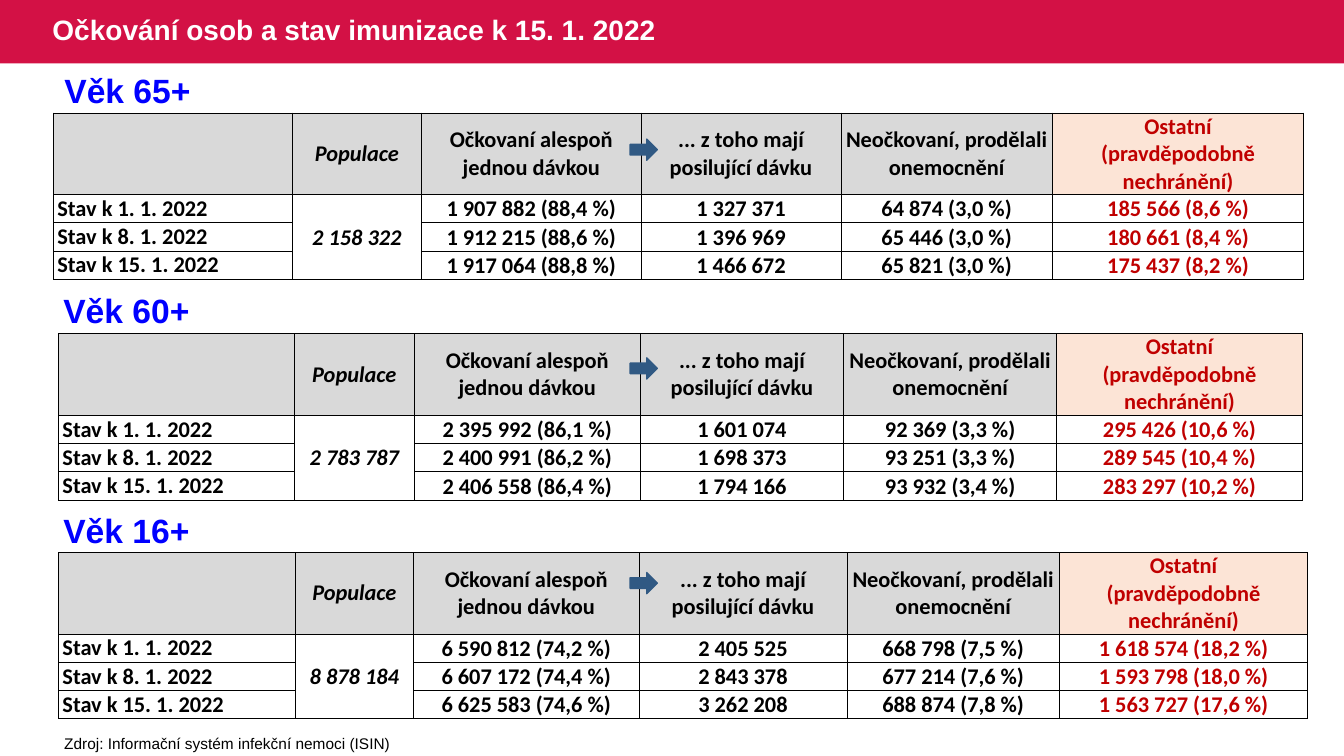
from lxml import etree
from pptx import Presentation
from pptx import util as u
from pptx.dml.color import RGBColor
from pptx.enum import shapes, text
from pptx.oxml import ns

COLORS = {"bar": "D31145", "white": "FFFFFF", "black": "000000", "age": "0000FF",
          "header": "D9D9D9", "risk": "C00000", "risk_header": "FCE4D6", "arrow": "305983"}
HEADERS = ["", "Populace", "Očkovaní alespoň jednou dávkou", "... z toho mají posilující dávku",
           "Neočkovaní, prodělali onemocnění", "Ostatní\n(pravděpodobně nechránění)"]
DATES = ["Stav k 1. 1. 2022", "Stav k 8. 1. 2022", "Stav k 15. 1. 2022"]
POPULATION, RISK = 1, 5
ROW_HEIGHTS = [0.81, 0.28, 0.28, 0.28]
AGE_GROUPS = [
    {"age": "Věk 65+", "age_at": (0.54, 0.64), "table_at": (0.53, 1.12), "arrow_top": 1.38,
     "widths": [2.37, 1.28, 2.18, 1.98, 2.1, 2.49], "population": "2 158 322",
     "counts": [["1 907 882 (88,4 %)", "1 327 371", "64 874 (3,0 %)", "185 566 (8,6 %)"],
                ["1 912 215 (88,6 %)", "1 396 969", "65 446 (3,0 %)", "180 661 (8,4 %)"],
                ["1 917 064 (88,8 %)", "1 466 672", "65 821 (3,0 %)", "175 437 (8,2 %)"]]},
    {"age": "Věk 60+", "age_at": (0.53, 2.83), "table_at": (0.58, 3.31), "arrow_top": 3.55,
     "widths": [2.34, 1.19, 2.24, 2.02, 2.11, 2.44], "population": "2 783 787",
     "counts": [["2 395 992 (86,1 %)", "1 601 074", "92 369 (3,3 %)", "295 426 (10,6 %)"],
                ["2 400 991 (86,2 %)", "1 698 373", "93 251 (3,3 %)", "289 545 (10,4 %)"],
                ["2 406 558 (86,4 %)", "1 794 166", "93 932 (3,4 %)", "283 297 (10,2 %)"]]},
    {"age": "Věk 16+", "age_at": (0.53, 5.01), "table_at": (0.58, 5.48), "arrow_top": 5.68,
     "widths": [2.35, 1.17, 2.24, 2.06, 2.11, 2.46], "population": "8 878 184",
     "counts": [["6 590 812 (74,2 %)", "2 405 525", "668 798 (7,5 %)", "1 618 574 (18,2 %)"],
                ["6 607 172 (74,4 %)", "2 843 378", "677 214 (7,6 %)", "1 593 798 (18,0 %)"],
                ["6 625 583 (74,6 %)", "3 262 208", "688 874 (7,8 %)", "1 563 727 (17,6 %)"]]},
]


def apply(target, values):
    for name, value in values.items():
        setattr(target, name, value)


def rgb(name):
    return RGBColor.from_string(COLORS[name])


class ReportSlide:
    """Draws styled elements on the current slide."""

    def __init__(self, slide):
        self.slide = slide
        self.center = text.PP_ALIGN.CENTER
        self.middle = text.MSO_ANCHOR.MIDDLE
        self.title_font = {"name": "Arial", "size": u.Pt(20), "bold": True}
        self.age_font = {"name": "Arial", "size": u.Pt(24), "bold": True}
        self.source_font = {"name": "Arial", "size": u.Pt(11)}
        self.table_font = {"name": "Calibri", "size": u.Pt(16), "bold": True}

    def fill_text(self, frame, wording, font, color, align=text.PP_ALIGN.LEFT, **extra):
        frame.text = wording
        for paragraph in frame.paragraphs:
            paragraph.alignment = align
            for run in paragraph.runs:
                apply(run.font, {**font, **extra})
                run.font.color.rgb = rgb(color)

    def shape(self, kind, box, color, outlined=False):
        drawn = self.slide.shapes.add_shape(kind, *map(u.Inches, box))
        drawn.shadow.inherit = False
        drawn.fill.solid()
        drawn.fill.fore_color.rgb = rgb(color)
        if outlined:
            drawn.line.color.rgb = rgb(color)
            drawn.line.width = u.Pt(1)
        else:
            drawn.line.fill.background()
        return drawn

    def title(self, wording):
        bar = self.shape(shapes.MSO_SHAPE.RECTANGLE, (0, 0, 13.33, 0.63), "bar")
        heading = self.slide.shapes.title
        heading.element.addprevious(bar.element)
        apply(heading, {"left": u.Inches(0.42), "top": 0,
                        "width": u.Inches(8.28), "height": u.Inches(0.63)})
        self.fill_text(heading.text_frame, wording, self.title_font, "white")
        apply(heading.text_frame, {"vertical_anchor": self.middle, "word_wrap": True})
        heading.text_frame.paragraphs[0].line_spacing = 0.9

    def label(self, wording, box, font, color, wrap=True, align=text.PP_ALIGN.LEFT):
        frame = self.slide.shapes.add_textbox(*map(u.Inches, box)).text_frame
        apply(frame, {"word_wrap": wrap, "auto_size": text.MSO_AUTO_SIZE.SHAPE_TO_FIT_TEXT})
        self.fill_text(frame, wording, font, color, align)

    def border(self, cell):
        properties = cell._tc.get_or_add_tcPr()
        for side in ("a:lnL", "a:lnR", "a:lnT", "a:lnB"):
            line = etree.SubElement(properties, ns.qn(side), w=str(u.Pt(0.5)))
            fill = etree.SubElement(line, ns.qn("a:solidFill"))
            etree.SubElement(fill, ns.qn("a:srgbClr"), val=COLORS["black"])

    def cell(self, cell, wording, row, column):
        self.border(cell)
        side = 0.04 if row == 0 or column == 0 else 0.01
        apply(cell, {"margin_left": u.Inches(side), "margin_right": u.Inches(side),
                     "margin_top": u.Inches(0.01 if row and column else 0),
                     "margin_bottom": 0, "vertical_anchor": self.middle})
        if row == 0:
            cell.fill.solid()
            cell.fill.fore_color.rgb = rgb("risk_header" if column == RISK else "header")
        else:
            cell.fill.background()
        align = text.PP_ALIGN.LEFT if row and column == 0 else self.center
        self.fill_text(cell.text_frame, wording, self.table_font,
                       "risk" if column == RISK else "black", align,
                       italic=column == POPULATION)

    def table(self, left, top, widths, rows):
        box = (left, top, sum(widths), sum(ROW_HEIGHTS))
        grid = self.slide.shapes.add_table(len(rows), len(widths), *map(u.Inches, box)).table
        for column, width in zip(grid.columns, widths):
            column.width = u.Inches(width)
        for row, height in zip(grid.rows, ROW_HEIGHTS):
            row.height = u.Inches(height)
        for r, row in enumerate(rows):
            for c, wording in enumerate(row):
                self.cell(grid.cell(r, c), wording, r, c)
        grid.cell(1, POPULATION).merge(grid.cell(len(rows) - 1, POPULATION))

    def age_group(self, group):
        self.label(group["age"], (*group["age_at"], 5.31, 0.5), self.age_font, "age")
        populations = [group["population"], "", ""]
        rows = [[date, population, *counts] for date, population, counts
                in zip(DATES, populations, group["counts"])]
        self.table(*group["table_at"], group["widths"], [HEADERS, *rows])
        self.shape(shapes.MSO_SHAPE.RIGHT_ARROW, (6.25, group["arrow_top"], 0.27, 0.21),
                   "arrow", outlined=True)


def main():
    deck = Presentation()
    apply(deck, {"slide_width": u.Inches(13.33), "slide_height": u.Inches(7.5)})
    report = ReportSlide(deck.slides.add_slide(deck.slide_layouts[5]))
    report.title("Očkování osob a stav imunizace k 15. 1. 2022")
    for group in AGE_GROUPS:
        report.age_group(group)
    report.label("Zdroj: Informační systém infekční nemoci (ISIN)", (0.53, 7.23, 3.45, 0.29),
                 report.source_font, "black", wrap=False, align=report.center)
    deck.save("out.pptx")


if __name__ == "__main__":
    main()
